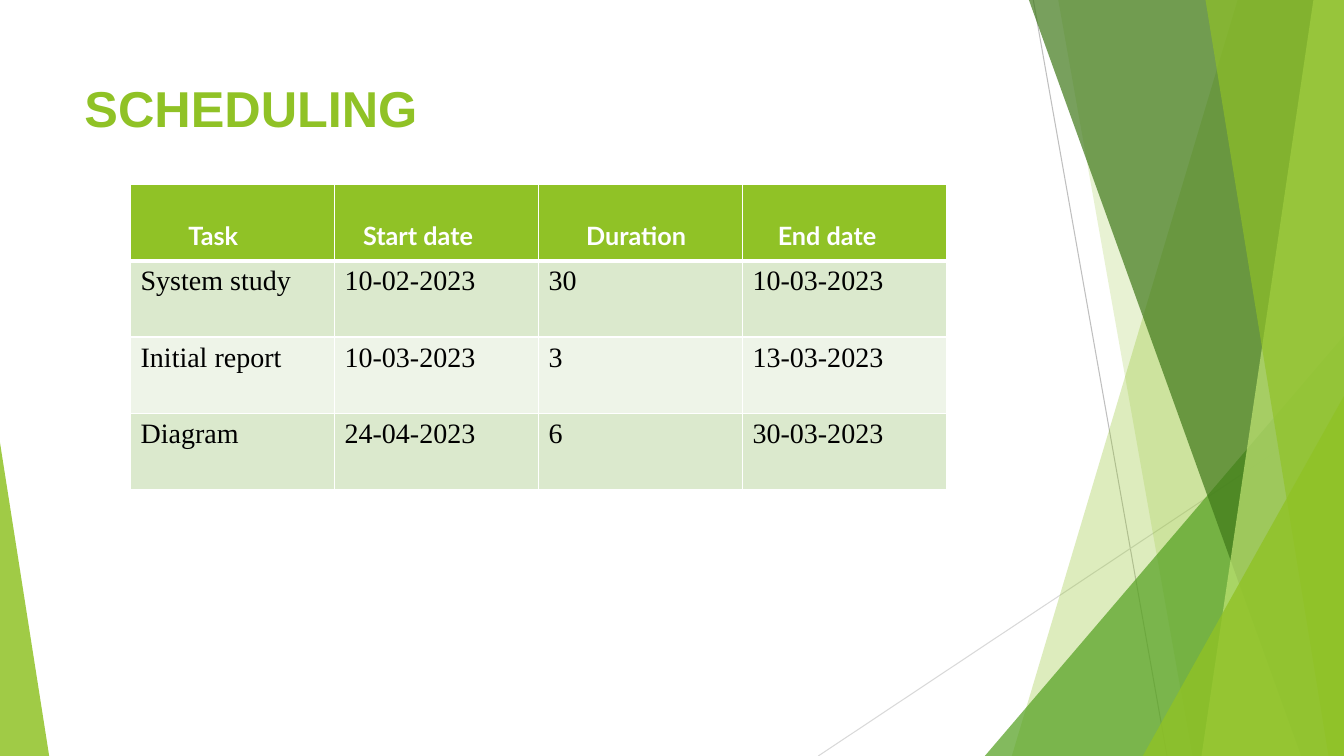
from lxml.etree import SubElement
from pptx import Presentation
from pptx.dml.color import RGBColor
from pptx.enum.shapes import MSO_CONNECTOR, MSO_SHAPE
from pptx.enum.text import MSO_ANCHOR
from pptx.oxml.ns import qn
from pptx.util import Cm, Pt


class Theme:
    lime, leaf, pine, pale = "90C226", "54A021", "3F7819", "C0E474"
    white, grey, mist = "FFFFFF", "BFBFBF", "D9D9D9"
    bands = ["DBE9CD", "EEF4E8"]
    title = {"name": "Arial", "size": Pt(36), "bold": True}
    head = {"name": "Lato", "size": Pt(18), "bold": True}
    body = {"name": "Times New Roman", "size": Pt(20), "bold": False}


WIDE, HIGH = 33.87, 19.05


def apply(item, values):
    for key, value in values.items():
        setattr(item, key, value)


def write(frame, text, style, color):
    run = frame.paragraphs[0].add_run()
    run.text = text
    apply(run.font, style)
    run.font.color.rgb = RGBColor.from_string(color)


def paint(shape, color, alpha):
    shape.shadow.inherit = False
    shape.fill.solid()
    shape.fill.fore_color.rgb = RGBColor.from_string(color)
    shape.line.fill.background()
    tint = shape.fill._xPr.find(".//" + qn("a:srgbClr"))
    SubElement(tint, qn("a:alpha"), val=str(alpha * 1000))


def wedge(slide, box, tip, color, alpha):
    """Right-angled triangle; tip is 0 for left, 1 for right."""
    shape = slide.shapes.add_shape(MSO_SHAPE.ISOSCELES_TRIANGLE, *map(Cm, box))
    shape.adjustments[0] = tip
    paint(shape, color, alpha)


def ray(slide, ends, color):
    line = slide.shapes.add_connector(MSO_CONNECTOR.STRAIGHT, *map(Cm, ends))
    line.line.color.rgb = RGBColor.from_string(color)
    line.line.width = Pt(0.75)
    SubElement(line._element.spPr, qn("a:effectLst"))


def facet(slide, box, upper, lower, color, alpha):
    """Panel from a slanted left edge to the right side of the box."""
    left, top, width, height = box
    right, base = left + width, top + height
    pen = slide.shapes.build_freeform(Cm(left + upper), Cm(top))
    pen.add_line_segments([(Cm(right), Cm(top)), (Cm(right), Cm(base)),
                           (Cm(left + lower), Cm(base))])
    paint(pen.convert_to_shape(), color, alpha)


def fan(slide, box):
    left, top, width, height = box
    # Thin rays
    ray(slide, (left + 5.42, top, left + 8.79, top + height), Theme.grey)
    ray(slide, (left + width, top + 10.24, left, top + height), Theme.mist)
    # Panels, back to front: kind, two offsets, colour, opacity
    for kind, a, b, color, alpha in [
            ("facet", 10.57, 4.88, Theme.lime, 30),
            ("facet", 6.05, 9.43, Theme.lime, 20),
            ("wedge", 4.2, 8.46, Theme.leaf, 72),
            ("facet", 5.31, 12.17, Theme.pine, 70),
            ("facet", 12.48, 9.66, Theme.pale, 70),
            ("facet", 9.76, 12.86, Theme.lime, 65),
            ("wedge", 8.18, 9.98, Theme.lime, 80)]:
        if kind == "facet":
            facet(slide, box, a, b, color, alpha)
        else:
            wedge(slide, (left + a, top + b, width - a, height - b), 1, color, alpha)


def heading(slide, box, text):
    frame = slide.shapes.add_textbox(*map(Cm, box)).text_frame
    frame.word_wrap = True
    write(frame, text, Theme.title, Theme.lime)


def edge(cell, base):
    props = cell._tc.get_or_add_tcPr()
    for spot, side in enumerate("LRTB"):
        width = Pt(base if side == "B" else 1)
        line = props.makeelement(qn("a:ln" + side), {"w": str(int(width))})
        fill = SubElement(line, qn("a:solidFill"))
        SubElement(fill, qn("a:srgbClr"), val=Theme.white)
        props.insert(spot, line)


def plan(slide, box, heads, rows):
    left, top, width, height = box
    grid = slide.shapes.add_table(len(rows) + 1, len(heads), *map(Cm, box)).table
    for row in grid.rows:
        row.height = Cm(height / len(grid.rows))
    for col in grid.columns:
        col.width = Cm(width / len(heads))
    # Header row, each label with its own inset
    for cell, (text, inset) in zip(grid.rows[0].cells, heads):
        cell.fill.solid()
        cell.fill.fore_color.rgb = RGBColor.from_string(Theme.lime)
        apply(cell, {"vertical_anchor": MSO_ANCHOR.BOTTOM,
                     "margin_left": Cm(inset), "margin_bottom": Cm(0.25)})
        write(cell.text_frame, text, Theme.head, Theme.white)
        edge(cell, 3)
    # Banded task rows
    for r, row in enumerate(rows):
        for cell, text in zip(grid.rows[r + 1].cells, row):
            cell.fill.solid()
            cell.fill.fore_color.rgb = RGBColor.from_string(Theme.bands[r % 2])
            write(cell.text_frame, text, Theme.body, "000000")
            edge(cell, 1)
    # The first task row shares the thick header rule
    for cell in grid.rows[1].cells:
        cell._tc.tcPr.find(qn("a:lnT")).set("w", str(int(Pt(3))))


deck = Presentation()
apply(deck, {"slide_width": Cm(WIDE), "slide_height": Cm(HIGH)})
page = deck.slides.add_slide(deck.slide_layouts[6])
fan(page, (20.62, 0, WIDE - 20.62, HIGH))
wedge(page, (0, 11.15, 1.24, HIGH - 11.15), 0, Theme.lime, 85)
heading(page, (1.88, 1.82, 23.88, 2.2), "SCHEDULING")
plan(page, (3.29, 4.65, 20.56, 7.68),
     [("Task", 1.46), ("Start date", 0.72), ("Duration", 1.2), ("End date", 0.89)],
     [("System study", "10-02-2023", "30", "10-03-2023"),
      ("Initial report", "10-03-2023", "3", "13-03-2023"),
      ("Diagram", "24-04-2023", "6", "30-03-2023")])
deck.save("out.pptx")
